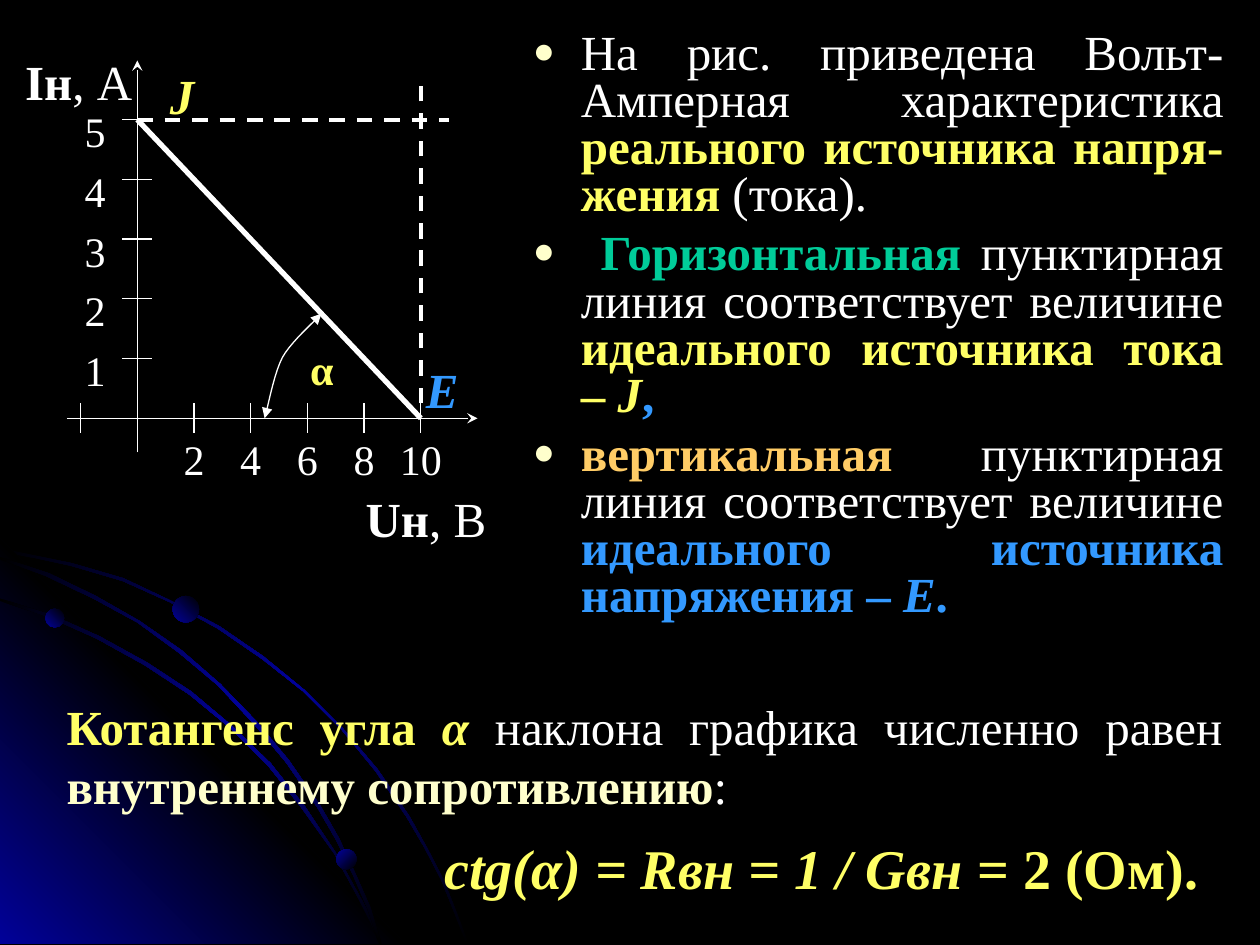
from lxml import etree
from pptx import Presentation
from pptx.dml.color import RGBColor
from pptx.enum.dml import MSO_LINE
from pptx.enum.shapes import MSO_CONNECTOR, MSO_SHAPE
from pptx.enum.text import MSO_ANCHOR, MSO_AUTO_SIZE, PP_ALIGN
from pptx.oxml.ns import qn
from pptx.util import Inches, Pt

LEFT, CENTER, JUSTIFY = PP_ALIGN.LEFT, PP_ALIGN.CENTER, PP_ALIGN.JUSTIFY
DASH = MSO_LINE.DASH
STRAIGHT, OVAL = MSO_CONNECTOR.STRAIGHT, MSO_SHAPE.OVAL
TOP, NO_FIT = MSO_ANCHOR.TOP, MSO_AUTO_SIZE.NONE
WHITE, BLACK, NAVY = "FFFFFF", "000000", "010199"
YELLOW, CREAM, BLUE, GREEN, ORANGE = "FFFF66", "FFFFCC", "3399FF", "00CC99", "FFCC66"
GLOW = [(0, BLACK), (50, NAVY), (100, BLACK)]

OUTER_ARC = [
    (0.57, 4.47), (0.28, 4.41), (0, 4.35), (0, 4.38), (0.28, 4.43), (0.56, 4.49),
    (0.97, 4.61), (1.35, 4.78), (1.73, 4.99), (2.08, 5.23), (2.41, 5.49), (2.71, 5.79),
    (2.98, 6.12), (3.23, 6.49), (3.37, 6.73), (3.5, 6.98), (3.6, 7.23), (3.7, 7.49),
    (3.72, 7.49), (3.62, 7.23), (3.52, 6.98), (3.39, 6.73), (3.25, 6.48), (3, 6.11),
    (2.72, 5.78), (2.42, 5.48), (2.09, 5.21), (1.74, 4.97), (1.36, 4.77), (0.98, 4.59)]
INNER_ARC = [
    (2.85, 7.14), (2.94, 7.32), (3.01, 7.49), (3.03, 7.49), (2.96, 7.3), (2.86, 7.12),
    (2.66, 6.76), (2.42, 6.4), (2.15, 6.06), (1.84, 5.76), (1.52, 5.49), (1.17, 5.26),
    (0.79, 5.05), (0.41, 4.88), (0, 4.75), (0, 4.77), (0.39, 4.9), (0.77, 5.07),
    (1.15, 5.28), (1.5, 5.51), (1.83, 5.78), (2.13, 6.08), (2.4, 6.42), (2.65, 6.77)]
MIDDLE_ARC = [
    (0, 4.42), (0, 4.44), (0.36, 4.57), (0.74, 4.75), (1.09, 4.94), (1.42, 5.18),
    (1.73, 5.44), (2.02, 5.75), (2.27, 6.05), (2.52, 6.41), (2.67, 6.67), (2.8, 6.94),
    (2.92, 7.22), (3.01, 7.49), (3.03, 7.49), (2.94, 7.2), (2.82, 6.93), (2.69, 6.65),
    (2.54, 6.39), (2.29, 6.03), (2.04, 5.73), (1.75, 5.43), (1.44, 5.16), (1.11, 4.93),
    (0.76, 4.73), (0.39, 4.55)]
CORNER = [(3.22, 7.49), (0, 7.49), (0, 4.27)]


def rgb(color):
    return RGBColor.from_string(color)


def cubic(start, control1, control2, end, steps=10):
    """Points along a Bezier segment, without its start."""
    points = []
    for step in range(1, steps + 1):
        t = step / steps
        weights = ((1 - t) ** 3, 3 * t * (1 - t) ** 2, 3 * t * t * (1 - t), t ** 3)
        points.append(tuple(
            sum(weight * value for weight, value in zip(weights, axis))
            for axis in zip(start, control1, control2, end)))
    return points


def add_arrowheads(line, **ends):
    ln = line._get_or_add_ln()
    for end in ("headEnd", "tailEnd"):
        if end in ends:
            etree.SubElement(ln, qn(f"a:{end}"), type=ends[end])


def add_bullet(paragraph, indent, color):
    properties = paragraph._p.get_or_add_pPr()
    properties.set("marL", str(Inches(indent)))
    properties.set("indent", str(-Inches(indent)))
    bullet_color = etree.SubElement(properties, qn("a:buClr"))
    etree.SubElement(bullet_color, qn("a:srgbClr"), val=color)
    etree.SubElement(properties, qn("a:buSzPct"), val="75000")
    etree.SubElement(properties, qn("a:buChar"), char="●")


class SlideBuilder:
    """Holds the text style and the slide being filled."""

    font = "Times New Roman"

    def __init__(self, slide):
        self.slide = slide
        self.shapes = slide.shapes

    def gradient(self, shape, stops, angle):
        shape.shadow.inherit = False
        shape.line.fill.background()
        shape.fill.gradient()
        shape.fill.gradient_angle = 360 - angle
        stop_list = next(shape._element.iter(qn("a:gsLst")))
        for stop in list(stop_list):
            stop_list.remove(stop)
        for position, color in stops:
            stop = etree.SubElement(stop_list, qn("a:gs"), pos=str(position * 1000))
            etree.SubElement(stop, qn("a:srgbClr"), val=color)

    def outline(self, points, close=True):
        (x, y), *rest = [(Inches(px), Inches(py)) for px, py in points]
        builder = self.shapes.build_freeform(x, y)
        builder.add_line_segments(rest, close=close)
        shape = builder.convert_to_shape()
        shape.shadow.inherit = False
        return shape

    def band(self, points, stops, angle):
        self.gradient(self.outline(points), stops, angle)

    def ball(self, left, top, size, angle):
        shape = self.shapes.add_shape(
            OVAL, Inches(left), Inches(top), Inches(size), Inches(size))
        self.gradient(shape, [(0, BLACK), (100, NAVY)], angle)

    def curve(self, points, width=0.75):
        shape = self.outline(points, close=False)
        shape.fill.background()
        shape.line.color.rgb = rgb(WHITE)
        shape.line.width = Pt(width)
        add_arrowheads(shape.line, headEnd="triangle", tailEnd="triangle")

    def line(self, start, end, width=0.75, dash=None, **ends):
        connector = self.shapes.add_connector(
            STRAIGHT, *(Inches(value) for value in (*start, *end)))
        connector.line.color.rgb = rgb(WHITE)
        connector.line.width = Pt(width)
        if dash:
            connector.line.dash_style = dash
        add_arrowheads(connector.line, **ends)
        etree.SubElement(connector._element.spPr, qn("a:effectLst"))

    def add_runs(self, paragraph, runs, size, align):
        """Each run is (text, colour, style), style being any of the letters b and i."""
        paragraph.alignment = align
        for text, color, style in runs:
            run = paragraph.add_run()
            run.text = text
            run.font.name = self.font
            run.font.size = Pt(size)
            run.font.color.rgb = rgb(color)
            run.font.bold = "b" in style
            run.font.italic = "i" in style

    def text_box(self, left, top, width, height, runs, size=24, align=CENTER, insets=(0, 0)):
        box = self.shapes.add_textbox(
            Inches(left), Inches(top), Inches(width), Inches(height))
        frame = box.text_frame
        frame.word_wrap = True
        frame.margin_left = frame.margin_right = Inches(insets[0])
        frame.margin_top = frame.margin_bottom = Inches(insets[1])
        self.add_runs(frame.paragraphs[0], runs, size, align)
        return frame

    def bullets(self, left, top, width, height, items):
        body = self.slide.placeholders[1]
        body.left, body.top = Inches(left), Inches(top)
        body.width, body.height = Inches(width), Inches(height)
        frame = body.text_frame
        frame.auto_size = NO_FIT
        frame.vertical_anchor = TOP
        for index, runs in enumerate(items):
            paragraph = frame.add_paragraph() if index else frame.paragraphs[0]
            add_bullet(paragraph, 0.38, CREAM)
            paragraph.line_spacing = 0.8
            paragraph.space_before = Pt(7 if index else 0)
            self.add_runs(paragraph, runs, 28, JUSTIFY)


def draw_backdrop(builder):
    builder.band(OUTER_ARC, GLOW, 225)
    builder.band(CORNER, [(0, NAVY), (50, BLACK), (100, NAVY)], 135)
    builder.band(INNER_ARC, GLOW, 225)
    builder.band(MIDDLE_ARC, GLOW, 225)
    for left, top, size, angle in [(0.36, 4.83, 0.15, 135), (2.67, 6.74, 0.16, 225),
                                   (1.37, 4.73, 0.21, 135)]:
        builder.ball(left, top, size, angle)


def draw_graph(builder):
    origin_x, origin_y, step_x, tick = 1.09, 3.32, 0.45, 0.12
    emf_x, current_y = origin_x + 5 * step_x, 0.95
    step_y = (origin_y - current_y) / 5

    builder.line((origin_x, 3.59), (origin_x, 0.48), tailEnd="stealth")
    builder.line((0.53, origin_y), (3.79, origin_y), tailEnd="stealth")
    for index in range(-1, 6):
        x, y = origin_x + index * step_x, origin_y - index * step_y
        if index != 0:
            builder.line((x, origin_y - tick), (x, origin_y + tick))
        if index >= 0:
            builder.line((origin_x - tick, y), (origin_x + tick, y))
        if index > 0:
            builder.text_box(x - step_x / 2, 3.44, step_x, 0.36, [(str(2 * index), WHITE, "")])
            builder.text_box(0.53, y - 0.11, step_x, 0.36, [(str(index), WHITE, "")])

    builder.line((emf_x, origin_y), (origin_x, current_y), 3)
    builder.line((origin_x, current_y), (3.56, current_y), 2.25, DASH)
    builder.line((emf_x, 3.2), (emf_x, 0.6), 2.25, DASH)
    angle_start, angle_middle = (2.55, 2.49), (2.24, 2.84)
    builder.curve([angle_start,
                   *cubic(angle_start, (2.5, 2.55), (2.31, 2.71), angle_middle),
                   *cubic(angle_middle, (2.17, 2.98), (2.13, 3.22), (2.1, 3.32))])

    builder.text_box(0.2, 0.36, 0.9, 0.47, [("Iн", WHITE, "b"), (", А", WHITE, "")],
                     28, LEFT, (0, 0.05))
    builder.text_box(2.87, 3.83, 1.02, 0.47, [("Uн", WHITE, "b"), (", В", WHITE, "")],
                     28, insets=(0, 0.05))
    builder.text_box(1.22, 0.52, 0.45, 0.36, [("J", YELLOW, "bi")], 28)
    builder.text_box(3.23, 2.85, 0.56, 0.36, [("E", BLUE, "bi")], 28)
    builder.text_box(2.33, 2.73, 0.45, 0.36, [("α", YELLOW, "b")])


def add_explanation(builder):
    matches = " пунктирная линия соответствует величине "
    builder.bullets(4.13, 0.21, 5.68, 4.95, [
        [("На рис. приведена Вольт-Амперная характеристика ", WHITE, ""),
         ("реального источника напря-жения", YELLOW, "b"), (" (тока).", WHITE, "")],
        [(" ", WHITE, ""), ("Горизонтальная", GREEN, "b"), (matches, WHITE, ""),
         ("идеального источника тока – ", YELLOW, "b"), ("J", YELLOW, "bi"), (",", BLUE, "b")],
        [("вертикальная", ORANGE, "b"), (matches, WHITE, ""),
         ("идеального источника напряжения – ", BLUE, "b"), ("Е", BLUE, "bi"), (".", BLUE, "b")],
    ])
    conclusion = builder.text_box(0.43, 5.48, 9.37, 1.73, [
        ("Котангенс угла ", YELLOW, "b"), ("α", YELLOW, "bi"),
        (" наклона графика численно равен ", WHITE, ""),
        ("внутреннему сопротивлению", CREAM, "b"), (":", WHITE, "")], 28, JUSTIFY, (0.1, 0.05))
    formula = conclusion.add_paragraph()
    formula._p.get_or_add_pPr().set("marL", str(Inches(3)))
    formula.space_before = Pt(11.2)
    builder.add_runs(formula, [("ctg(α) = Rвн = 1 / Gвн", YELLOW, "bi"),
                               (" = 2 (Ом).", YELLOW, "b")], 32, LEFT)


def main():
    deck = Presentation()
    deck.slide_width, deck.slide_height = Inches(10), Inches(7.5)
    slide = deck.slides.add_slide(deck.slide_layouts[1])
    title = slide.shapes.title._element
    title.getparent().remove(title)
    slide.background.fill.solid()
    slide.background.fill.fore_color.rgb = rgb(BLACK)

    builder = SlideBuilder(slide)
    draw_backdrop(builder)
    draw_graph(builder)
    add_explanation(builder)
    deck.save("out.pptx")


if __name__ == "__main__":
    main()
